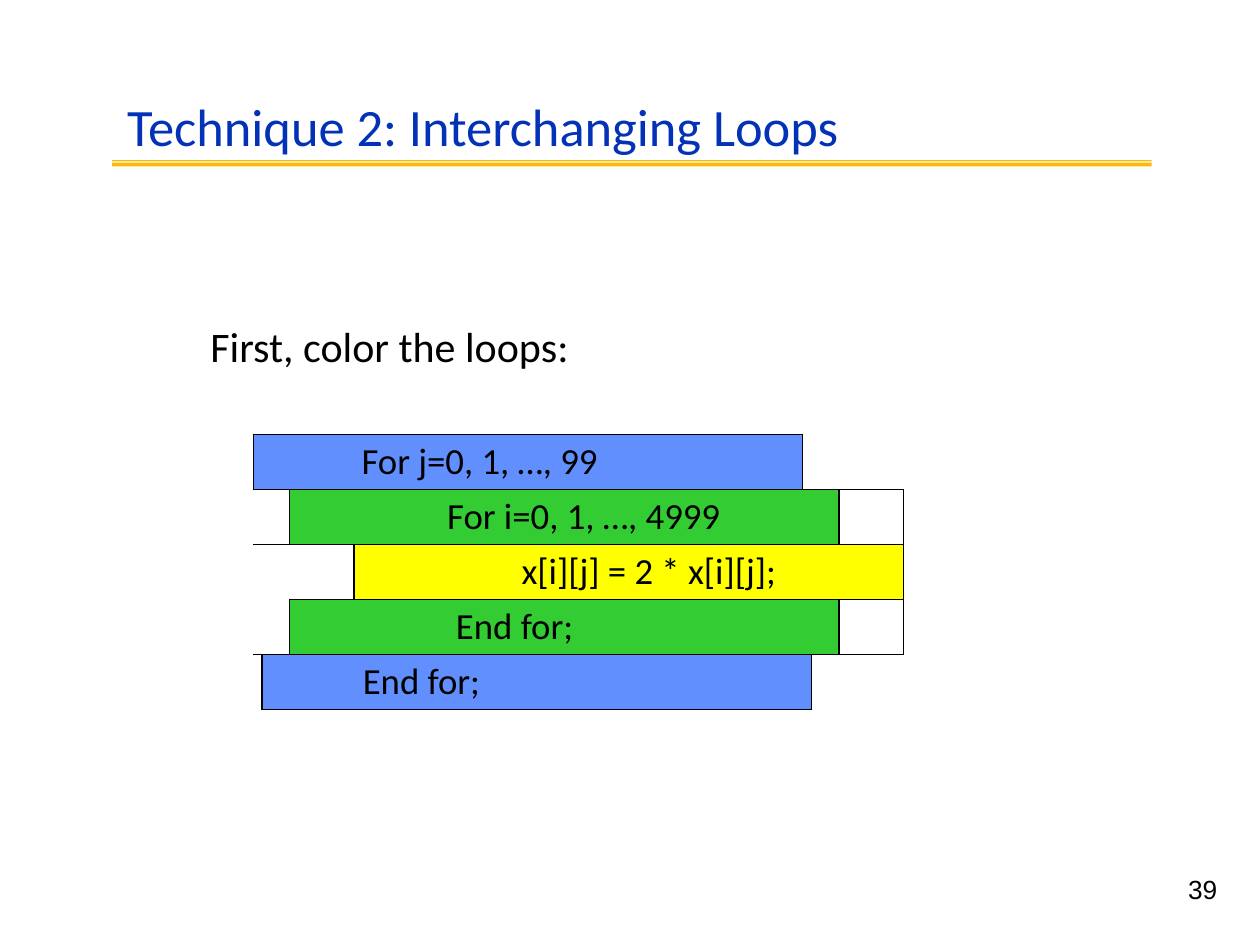
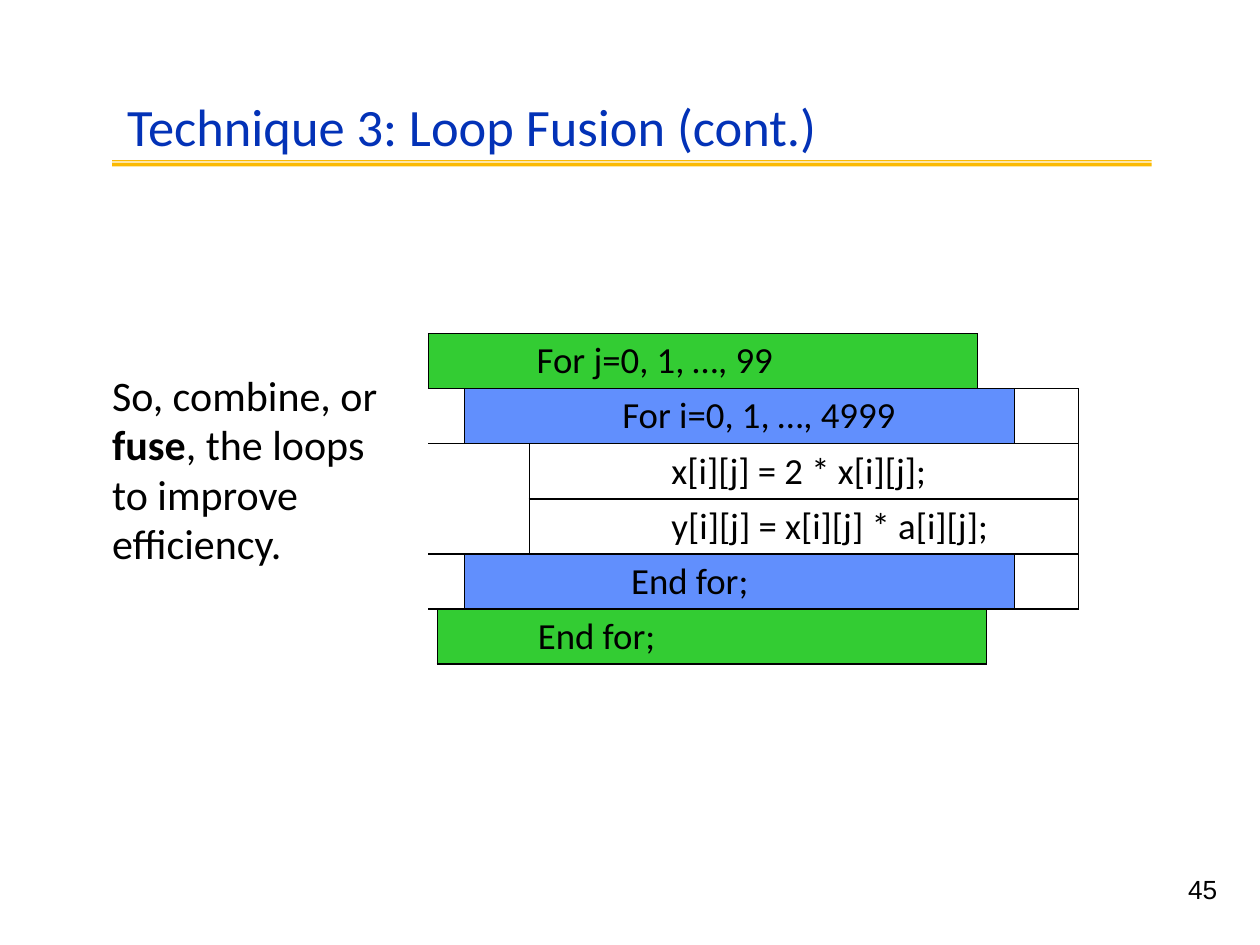
from dataclasses import dataclass

from lxml import etree
from pptx import Presentation
from pptx.dml.color import RGBColor
from pptx.enum.text import MSO_ANCHOR, MSO_AUTO_SIZE, PP_ALIGN
from pptx.oxml.ns import qn
from pptx.util import Inches, Pt

TOP, LEFT, NO_FIT = MSO_ANCHOR.TOP, PP_ALIGN.LEFT, MSO_AUTO_SIZE.NONE
TITLE_ONLY = 5
NO_GRID = "{2D5ABB26-0587-4C30-8999-92F81FD0307C}"


@dataclass(frozen=True)
class Theme:
    font: str = "Calibri"
    number_font: str = "Arial"
    ink: str = "000000"
    title: str = "0332B7"
    rule: str = "FBBA03"
    blue: str = "618FFD"
    green: str = "33CC33"
    yellow: str = "FFFF00"
    title_size: int = 30
    body_size: int = 24
    code_size: int = 21
    number_size: int = 15
    border: float = 0.75


T = Theme()

COLS = [0.07, 0.22, 0.51, 3.56, 0.07, 0.22, 0.51]
BAR_SPAN = 4
RULE_BANDS = [(1.29, 1.32), (1.27, 1.28)]
RULE_X = (0.89, 9.14)

# Each code row: text, first column of its bar, indent, fill
SLIDES = [
    dict(
        title="Technique 2: Interchanging Loops",
        number="39",
        note=[("First, color the loops:", False)],
        note_box=(1.67, 2.52, 3.77, 0.42), note_inset=0.02, note_spacing=1.0,
        table_box=(2.01, 3.45, 5.16, 2.18), line_below_body=False,
        code=[
            ("For j=0, 1, …, 99", 0, 0.86, T.blue),
            ("For i=0, 1, …, 4999", 2, 1.25, T.green),
            ("x[i][j] = 2 * x[i][j];", 3, 1.33, T.yellow),
            ("End for;", 2, 1.32, T.green),
            ("End for;", 1, 0.8, T.blue),
        ],
    ),
    dict(
        title="Technique 3: Loop Fusion (cont.)",
        number="45",
        note=[("So, combine, or ", False), ("fuse", True),
              (", the loops to improve efficiency.", False)],
        note_box=(0.89, 2.91, 2.26, 1.6), note_inset=0.04, note_spacing=0.98,
        table_box=(3.4, 2.65, 5.16, 2.62), line_below_body=True,
        code=[
            ("For j=0, 1, …, 99", 0, 0.86, T.green),
            ("For i=0, 1, …, 4999", 2, 1.25, T.blue),
            ("x[i][j] = 2 * x[i][j];", 3, 1.13, None),
            ("y[i][j] = x[i][j] * a[i][j];", 3, 1.13, None),
            ("End for;", 2, 1.32, T.blue),
            ("End for;", 1, 0.8, T.green),
        ],
    ),
]


def add_run(p, text, size, color=T.ink, font=T.font, bold=False):
    r = p.add_run()
    r.text = text
    r.font.name = font
    r.font.size = Pt(size)
    r.font.bold = bold
    r.font.color.rgb = RGBColor.from_string(color)


def frame(sp, box, inset=0.0):
    sp.left, sp.top, sp.width, sp.height = map(Inches, box)
    tf = sp.text_frame
    tf.auto_size = NO_FIT
    tf.word_wrap = True
    tf.vertical_anchor = TOP
    tf.margin_left = tf.margin_right = tf.margin_bottom = 0
    tf.margin_top = Inches(inset)
    p = tf.paragraphs[0]
    p.alignment = LEFT
    return p


def add_textbox(s, box, inset=0.0):
    return frame(s.shapes.add_textbox(*map(Inches, box)), box, inset)


def add_rule(s):
    x0, x1 = map(Inches, RULE_X)
    fb = None
    for band in RULE_BANDS:
        y0, y1 = map(Inches, band)
        if fb is None:
            fb = s.shapes.build_freeform(x1, y0)
        else:
            fb.move_to(x1, y0)
        fb.add_line_segments([(x0, y0), (x0, y1), (x1, y1)], close=True)
    sp = fb.convert_to_shape()
    sp.shadow.inherit = False
    sp.fill.solid()
    sp.fill.fore_color.rgb = RGBColor.from_string(T.rule)
    sp.line.fill.background()


def set_borders(cell, sides):
    tc_pr = cell._tc.get_or_add_tcPr()
    for side in "LRTB":
        if side in sides:
            ln = etree.SubElement(tc_pr, qn(f"a:ln{side}"), w=str(Pt(T.border)))
            fill = etree.SubElement(ln, qn("a:solidFill"))
            etree.SubElement(fill, qn("a:srgbClr"), val=T.ink)


def add_group(table, row, first, last, sides):
    for col in range(first, last + 1):
        skip = set()
        if col > first:
            skip.add("L")
        if first < col < last:
            skip.add("R")
        set_borders(table.cell(row, col), set(sides) - skip)
    cell = table.cell(row, first)
    if last > first:
        cell.merge(table.cell(row, last))
    return cell


def add_code(s, box, code, line_below_body):
    gf = s.shapes.add_table(len(code), len(COLS), *map(Inches, box))
    table = gf.table
    table.first_row = table.horz_banding = False
    gf._element.find(".//" + qn("a:tableStyleId")).text = NO_GRID
    for column, width in zip(table.columns, COLS):
        column.width = Inches(width)
    for row in table.rows:
        row.height = Inches(box[3] / len(code))
    for cell in table.iter_cells():
        cell.margin_left = cell.margin_right = cell.margin_top = cell.margin_bottom = 0

    body_rows = [i for i, line in enumerate(code) if line[1] == 3]
    for i, (text, start, indent, fill) in enumerate(code):
        inner = 0 < i < len(code) - 1
        end = start + BAR_SPAN - 1
        blanks = []
        if start:
            line_below = inner and (start != 3 or (line_below_body and i == body_rows[-1]))
            blanks.append(add_group(table, i, 0, start - 1, "B" if line_below else ""))
        if end < len(COLS) - 1:
            blanks.append(add_group(table, i, end + 1, len(COLS) - 1, "RTB" if inner else ""))
        bar = add_group(table, i, start, end, "LRTB")
        for cell in blanks:
            cell.fill.background()
        if fill:
            bar.fill.solid()
            bar.fill.fore_color.rgb = RGBColor.from_string(fill)
        else:
            bar.fill.background()
        bar.margin_left, bar.margin_top = Inches(indent), Inches(0.04)
        add_run(bar.text_frame.paragraphs[0], text, T.code_size)


def build_slide(prs, data):
    s = prs.slides.add_slide(prs.slide_layouts[TITLE_ONLY])
    add_rule(s)
    p = frame(s.shapes.title, (1.01, 0.73, 7, 0.52), 0.02)
    add_run(p, data["title"], T.title_size, T.title)

    p = add_textbox(s, data["note_box"], data["note_inset"])
    p.line_spacing = data["note_spacing"]
    for text, bold in data["note"]:
        add_run(p, text, T.body_size, bold=bold)

    add_code(s, data["table_box"], data["code"], data["line_below_body"])

    p = add_textbox(s, (9.43, 6.94, 0.27, 0.48))
    p.line_spacing = Pt(17.5)
    add_run(p, data["number"], T.number_size, font=T.number_font)


def main():
    prs = Presentation()
    prs.slide_width, prs.slide_height = Inches(10), Inches(7.5)
    for data in SLIDES:
        build_slide(prs, data)
    prs.save("out.pptx")


if __name__ == "__main__":
    main()
